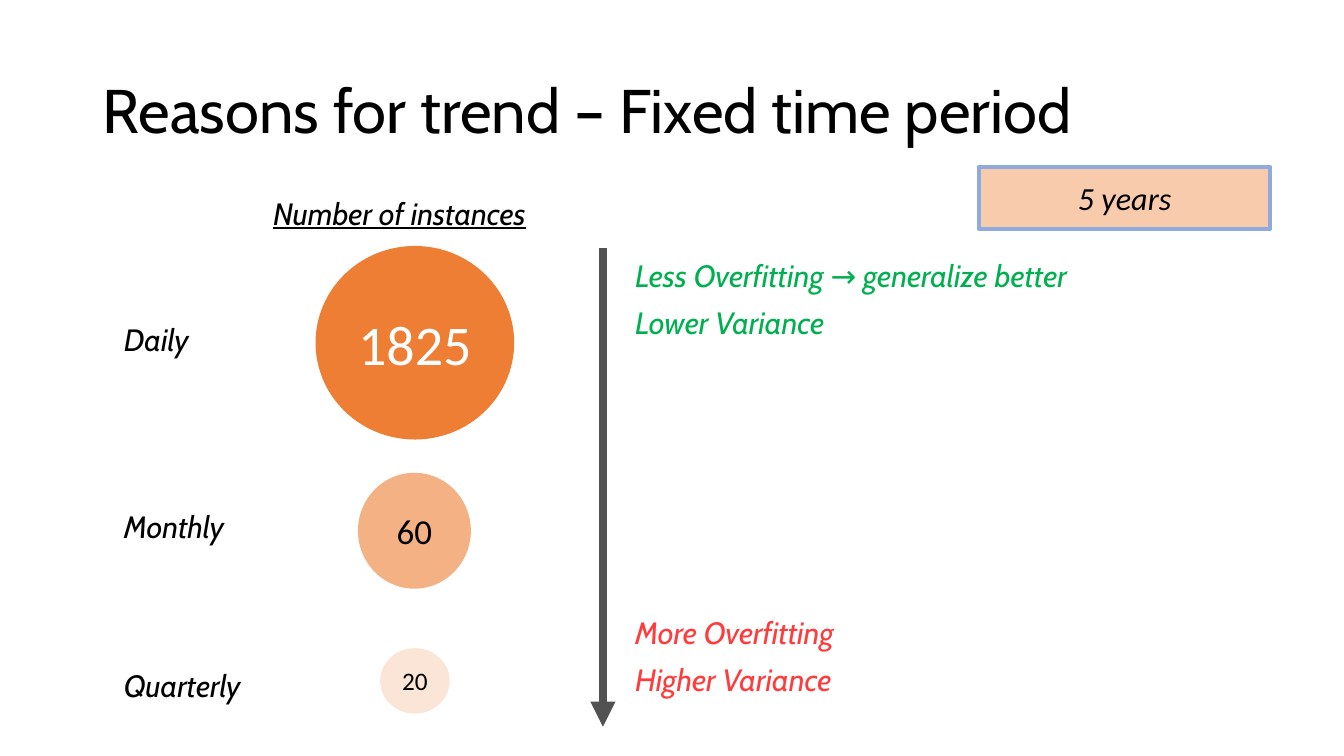
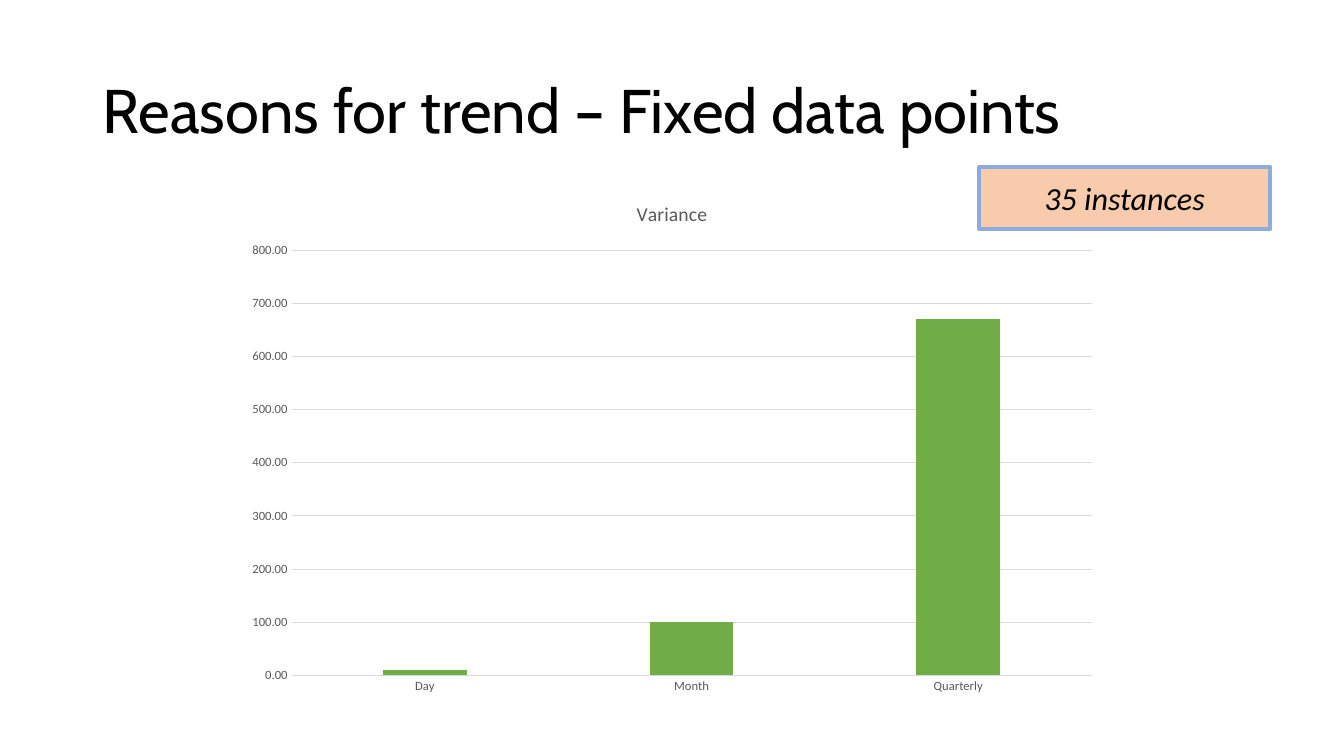
from lxml import etree
from pptx import Presentation
from pptx.chart.data import CategoryChartData
from pptx.dml.color import RGBColor
from pptx.enum.chart import XL_CHART_TYPE, XL_TICK_MARK
from pptx.enum.shapes import MSO_CONNECTOR, MSO_SHAPE
from pptx.enum.text import MSO_ANCHOR, MSO_AUTO_SIZE, PP_ALIGN
from pptx.oxml.ns import qn
from pptx.util import Emu, Pt

EMU_PER_PX = 9144  # 100 px to the inch
HEADING_FONT = "Cabin"
BODY_FONT = "Calibri"
BLACK, WHITE = "000000", "FFFFFF"
GOOD, BAD = "00B050", "FF3B3B"
ARROW_GREY, CHART_GREY, GRID_GREY = "525252", "595959", "D9D9D9"
BAR_GREEN = "70AD47"
BADGE_FILL, BADGE_LINE = "F8CBAD", "8FAADC"

CIRCLE_CENTER_X = 411
# label, label top, count, circle centre y, width, height, fill, text size, text colour
PERIODS = [
    ("Daily", 317, "1825", 340, 197, 192, "ED7E33", 40, WHITE),
    ("Monthly", 503, "60", 526, 112, 115, "F4B183", 25, BLACK),
    ("Quarterly", 661, "20", 675, 69, 65, "FBE5D6", 18, BLACK),
]


def px(*lengths):
    return [Emu(length * EMU_PER_PX) for length in lengths]


def color(hex_string):
    return RGBColor.from_string(hex_string)


def style_font(font, size, name=BODY_FONT, ink=BLACK, italic=False, underline=False):
    font.size = Pt(size)
    font.name = name
    font.italic = italic
    font.underline = underline
    font.bold = False
    font.color.rgb = color(ink)


def write(frame, text, align=PP_ALIGN.LEFT, anchor=MSO_ANCHOR.TOP, wrap=True,
          line_spacing=1.0, gap=0, **font_format):
    """Fill a text frame, one paragraph per line, with gap points between them."""
    frame.word_wrap = wrap
    frame.auto_size = MSO_AUTO_SIZE.NONE
    frame.vertical_anchor = anchor
    for index, line in enumerate(text.split("\n")):
        para = frame.add_paragraph() if index else frame.paragraphs[0]
        para.alignment = align
        para.line_spacing = line_spacing
        para.space_before = Pt(gap if index else 0)
        span = para.add_run()
        span.text = line
        style_font(span.font, **font_format)


def add_page(deck, title):
    page = deck.slides.add_slide(deck.slide_layouts[5])
    box = page.shapes.title
    box.left, box.top, box.width, box.height = px(92, 40, 1150, 145)
    write(box.text_frame, title, anchor=MSO_ANCHOR.MIDDLE, line_spacing=0.9,
          size=44, name=HEADING_FONT)
    return page


def add_note(page, text, left, top, width, height, **font_format):
    box = page.shapes.add_textbox(*px(left, top, width, height))
    write(box.text_frame, text, line_spacing=0.9, gap=10, size=22,
          name=HEADING_FONT, italic=True, **font_format)


def add_filled_shape(page, kind, text, left, top, width, height, fill,
                     line=None, **font_format):
    shape = page.shapes.add_shape(kind, *px(left, top, width, height))
    shape.shadow.inherit = False
    shape.fill.solid()
    shape.fill.fore_color.rgb = color(fill)
    if line:
        shape.line.color.rgb = color(line)
        shape.line.width = Pt(3)
    else:
        shape.line.fill.background()
    write(shape.text_frame, text, align=PP_ALIGN.CENTER, anchor=MSO_ANCHOR.MIDDLE,
          wrap=False, **font_format)


def add_badge(page, text):
    add_filled_shape(page, MSO_SHAPE.RECTANGLE, text, 971, 166, 289, 61, BADGE_FILL,
                     line=BADGE_LINE, size=23, italic=True)


def add_down_arrow(page, x, top, bottom):
    arrow = page.shapes.add_connector(MSO_CONNECTOR.STRAIGHT, *px(x, top, x, bottom))
    arrow.line.color.rgb = color(ARROW_GREY)
    arrow.line.width = Pt(6)
    properties = arrow._element.spPr
    etree.SubElement(properties.find(qn("a:ln")), qn("a:tailEnd"), type="triangle")
    etree.SubElement(properties, qn("a:effectLst"))


def add_variance_chart(page):
    data = CategoryChartData(number_format="0.00")
    data.categories = ["Day", "Month", "Quarterly"]
    data.add_series("Series 1", [10, 100, 670])
    chart = page.shapes.add_chart(XL_CHART_TYPE.COLUMN_CLUSTERED,
                                  *px(233, 179, 867, 520), data).chart
    style_font(chart.font, 10)
    chart.has_legend = False
    write_chart_title(chart, "Variance")

    plot = chart.plots[0]
    plot.gap_width = 219
    plot.overlap = -27
    plot.vary_by_categories = False
    bars = plot.series[0].format.fill
    bars.solid()
    bars.fore_color.rgb = color(BAR_GREEN)

    for axis in (chart.category_axis, chart.value_axis):
        axis.major_tick_mark = axis.minor_tick_mark = XL_TICK_MARK.NONE
        style_font(axis.tick_labels.font, 9, ink=CHART_GREY)
    values = chart.value_axis
    values.minimum_scale, values.maximum_scale, values.major_unit = 0, 800, 100
    values.tick_labels.number_format = "0.00"
    values.tick_labels.number_format_is_linked = False
    values.format.line.fill.background()
    for line in (chart.category_axis.format.line, values.major_gridlines.format.line):
        line.color.rgb = color(GRID_GREY)
        line.width = Pt(0.75)


def write_chart_title(chart, text):
    chart.has_title = True
    chart.chart_title.include_in_layout = False
    span = chart.chart_title.text_frame.paragraphs[0].add_run()
    span.text = text
    style_font(span.font, 14, ink=CHART_GREY)


def build_time_period(deck):
    page = add_page(deck, "Reasons for trend – Fixed time period")
    add_note(page, "Number of instances", 261, 192, 326, 51, underline=True)
    for label, label_top, count, center_y, width, height, fill, size, ink in PERIODS:
        add_note(page, label, 113, label_top, 168, 46)
        add_filled_shape(page, MSO_SHAPE.FLOWCHART_CONNECTOR, count,
                         CIRCLE_CENTER_X - width // 2, center_y - height // 2,
                         width, height, fill, size=size, ink=ink)
    add_down_arrow(page, 598, 246, 721)
    add_note(page, "Less Overfitting → generalize better\nLower Variance",
             620, 254, 680, 92, ink=GOOD)
    add_note(page, "More Overfitting\nHigher Variance", 620, 608, 401, 102, ink=BAD)
    add_badge(page, "5 years")


def build_data_points(deck):
    page = add_page(deck, "Reasons for trend – Fixed data points")
    add_variance_chart(page)
    add_badge(page, "35 instances")


def main():
    deck = Presentation()
    deck.slide_width, deck.slide_height = px(1333, 750)
    build_time_period(deck)
    build_data_points(deck)
    deck.save("out.pptx")


if __name__ == "__main__":
    main()
